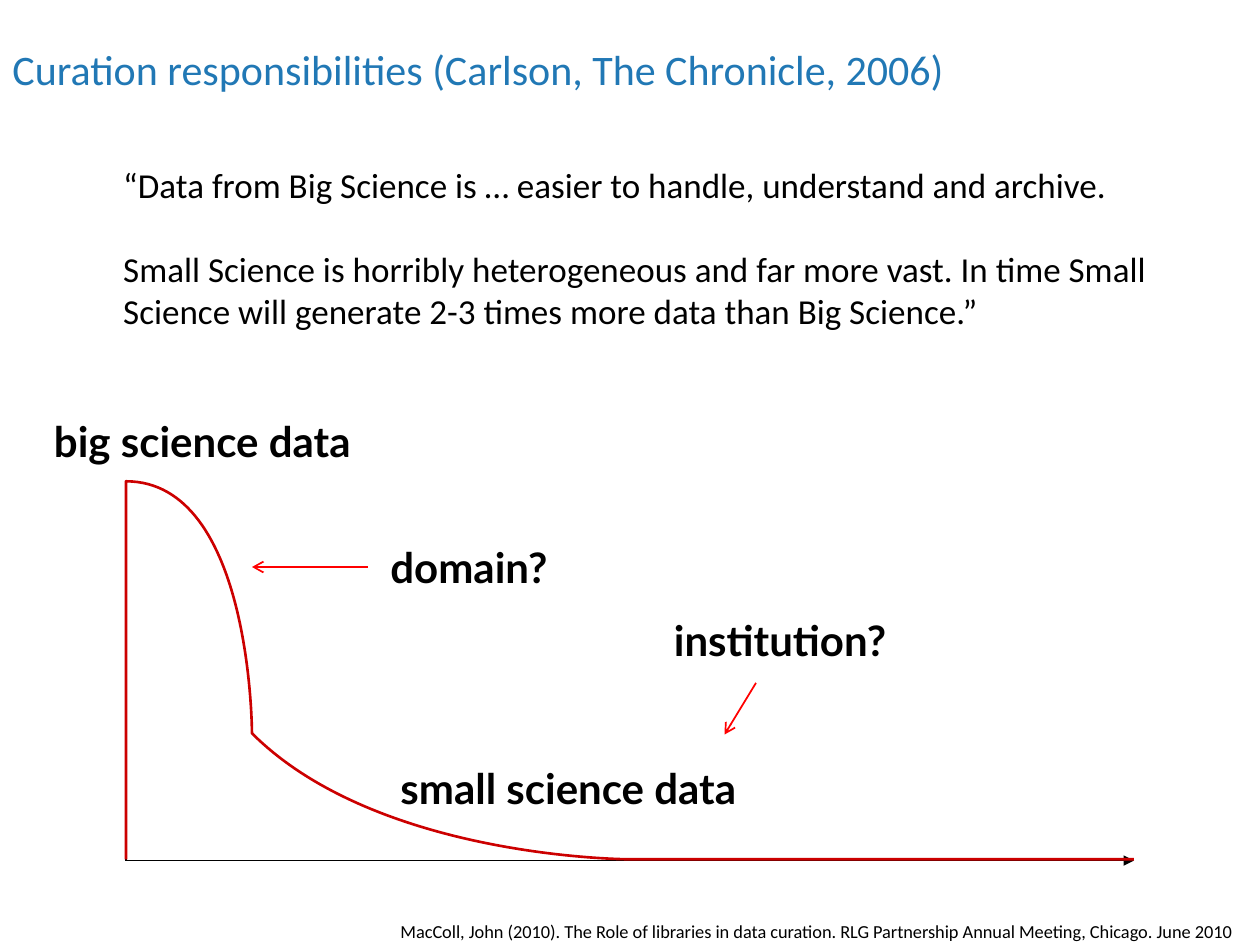
from lxml.etree import SubElement
from pptx import Presentation
from pptx.dml.color import RGBColor
from pptx.enum.shapes import MSO_CONNECTOR
from pptx.enum.text import MSO_ANCHOR
from pptx.oxml.ns import qn
from pptx.util import Inches, Pt

BLACK, BLUE, RED, DARK_RED = "000000", "2178B5", "FF0000", "CC0000"

# Curve points relative to the plot: a start, then three per Bezier segment
CURVE_START = (0, 3.01)
CURVE_SEGMENTS = [
    [(0.15, 1.63), (0.29, 0.24), (0.5, 0.12)],
    [(0.71, 0), (0.6, 1.86), (1.25, 2.28)],
    [(1.9, 2.71), (3.59, 2.56), (4.42, 2.66)],
    [(5.24, 2.76), (5.65, 2.82), (6.21, 2.87)],
    [(6.77, 2.91), (7.53, 2.92), (7.79, 2.93)],
]


def color(hex_value):
    return RGBColor.from_string(hex_value)


def add_text(slide, box, paragraphs, size=24, font="Calibri", fill=BLACK, bold=False,
             line_spacing=None, gap=0, indent=0, anchor=MSO_ANCHOR.TOP):
    frame = slide.shapes.add_textbox(*map(Inches, box)).text_frame
    frame.word_wrap = True
    frame.vertical_anchor = anchor
    for index, text in enumerate(paragraphs):
        paragraph = frame.paragraphs[0] if index == 0 else frame.add_paragraph()
        paragraph.text = text
        if indent:
            paragraph._p.get_or_add_pPr().set("marL", str(Inches(indent)))
        if line_spacing:
            paragraph.line_spacing = line_spacing
        if index:
            paragraph.space_before = Pt(gap)
        paragraph.font.size = Pt(size)
        paragraph.font.name = font
        paragraph.font.bold = bold
        paragraph.font.color.rgb = color(fill)


def add_line(slide, start, end, stroke=BLACK, width=0.75, arrowhead=None):
    line = slide.shapes.add_connector(
        MSO_CONNECTOR.STRAIGHT, *map(Inches, (*start, *end)))
    line.line.color.rgb = color(stroke)
    line.line.width = Pt(width)
    if arrowhead:
        SubElement(line.line._get_or_add_ln(), qn("a:tailEnd"), type=arrowhead)
    SubElement(line._element.spPr, qn("a:effectLst"))


def add_curve(slide, left, top):
    """Draw the long-tail curve, turning each three straight steps into one Bezier."""
    builder = slide.shapes.build_freeform(*CURVE_START, scale=Inches(1))
    builder.add_line_segments(
        [point for segment in CURVE_SEGMENTS for point in segment], close=False)
    curve = builder.convert_to_shape(Inches(left), Inches(top))
    path = next(curve._element.iter(qn("a:path")))
    steps = path.findall(qn("a:lnTo"))
    for first in range(0, len(steps), 3):
        bezier = SubElement(path, qn("a:cubicBezTo"))
        for step in steps[first:first + 3]:
            bezier.append(step[0])
            path.remove(step)
    curve.shadow.inherit = False
    curve.fill.background()
    curve.line.color.rgb = color(DARK_RED)
    curve.line.width = Pt(1.5)


def add_title(slide, box):
    add_text(slide, box, ["Curation responsibilities (Carlson, The Chronicle, 2006)"],
             fill=BLUE, line_spacing=1.2, anchor=MSO_ANCHOR.MIDDLE)


def add_quote(slide, box):
    add_text(slide, box, [
        "“Data from Big Science is … easier to handle, understand and archive.",
        "Small Science is horribly heterogeneous and far more vast. In time Small "
        "Science will generate 2-3 times more data than Big Science.”",
    ], size=20, gap=24, indent=0.38)


def add_plot(slide, left, top):
    def at(x, y):
        return left + x, top + y

    origin = at(0, 3.01)
    add_line(slide, at(0, 0.43), origin)
    add_line(slide, origin, at(8, 3.01), arrowhead="triangle")
    add_curve(slide, left, top)
    labels = [
        ("big science data", -0.67, -0.65, 2.62),
        ("small science data", 2.08, 2.1, 6.54),
        ("institution?", 4.25, 0.93, 1.98),
        ("domain?", 2, 0.35, 1.5),
    ]
    for text, x, y, width in labels:
        add_text(slide, (*at(x, y), width, 0.57), [text],
                 font="Lato", bold=True, line_spacing=1.2)
    for start, end in [((1.92, 0.68), (1, 0.68)), ((5, 1.6), (4.75, 2.01))]:
        add_line(slide, at(*start), at(*end), RED, 1, "arrow")


def add_citation(slide, box):
    add_text(slide, box, ["MacColl, John (2010). The Role of libraries in data curation. "
                          "RLG Partnership Annual Meeting, Chicago. June 2010"], size=10.5)


def main():
    presentation = Presentation()
    presentation.slide_width, presentation.slide_height = Inches(10), Inches(7.5)
    slide = presentation.slides.add_slide(presentation.slide_layouts[6])
    add_title(slide, (0, 0.17, 9.58, 0.67))
    add_quote(slide, (0.5, 1.25, 9, 1.92))
    add_plot(slide, 1, 3.82)
    add_citation(slide, (3.08, 7.25, 6.92, 0.25))
    presentation.save("out.pptx")


if __name__ == "__main__":
    main()
